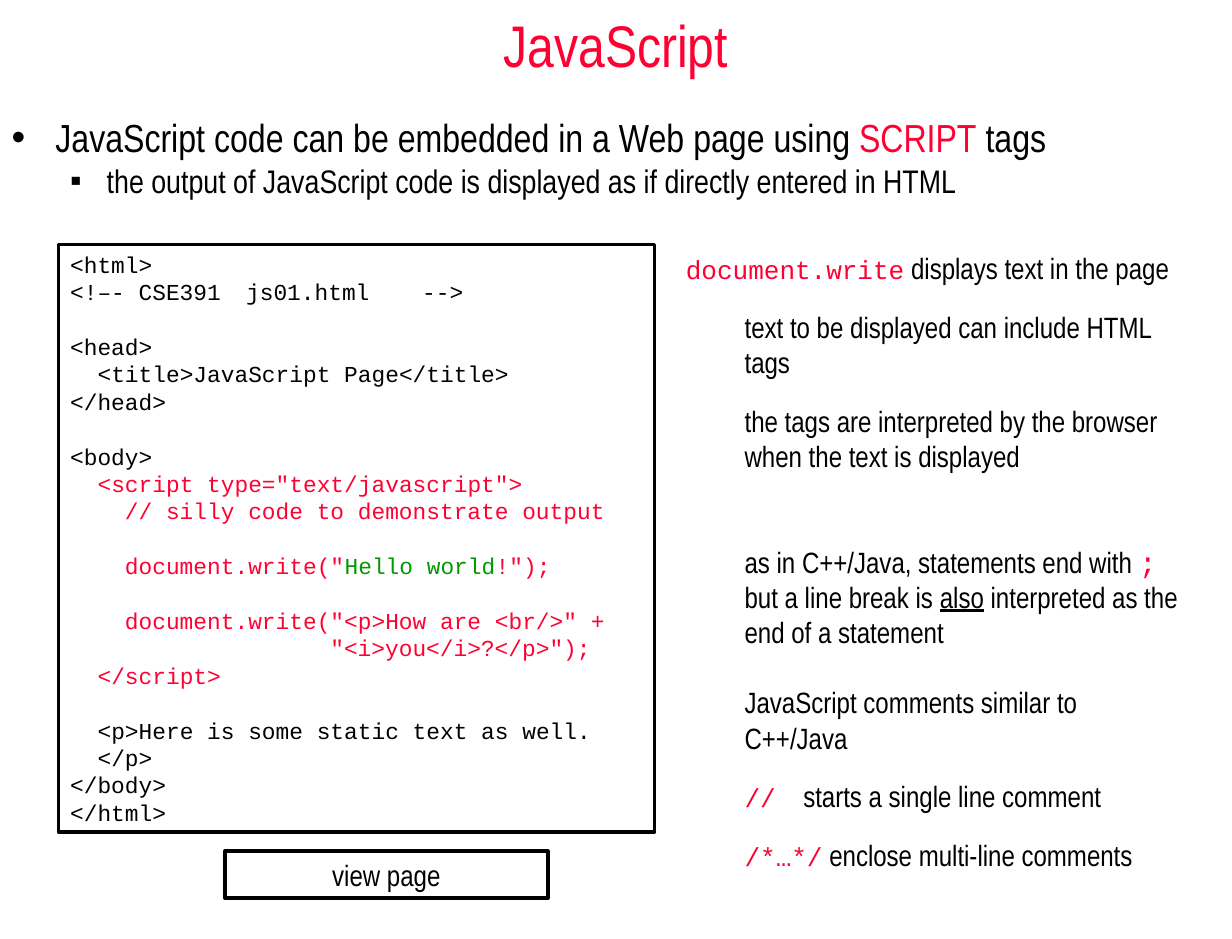
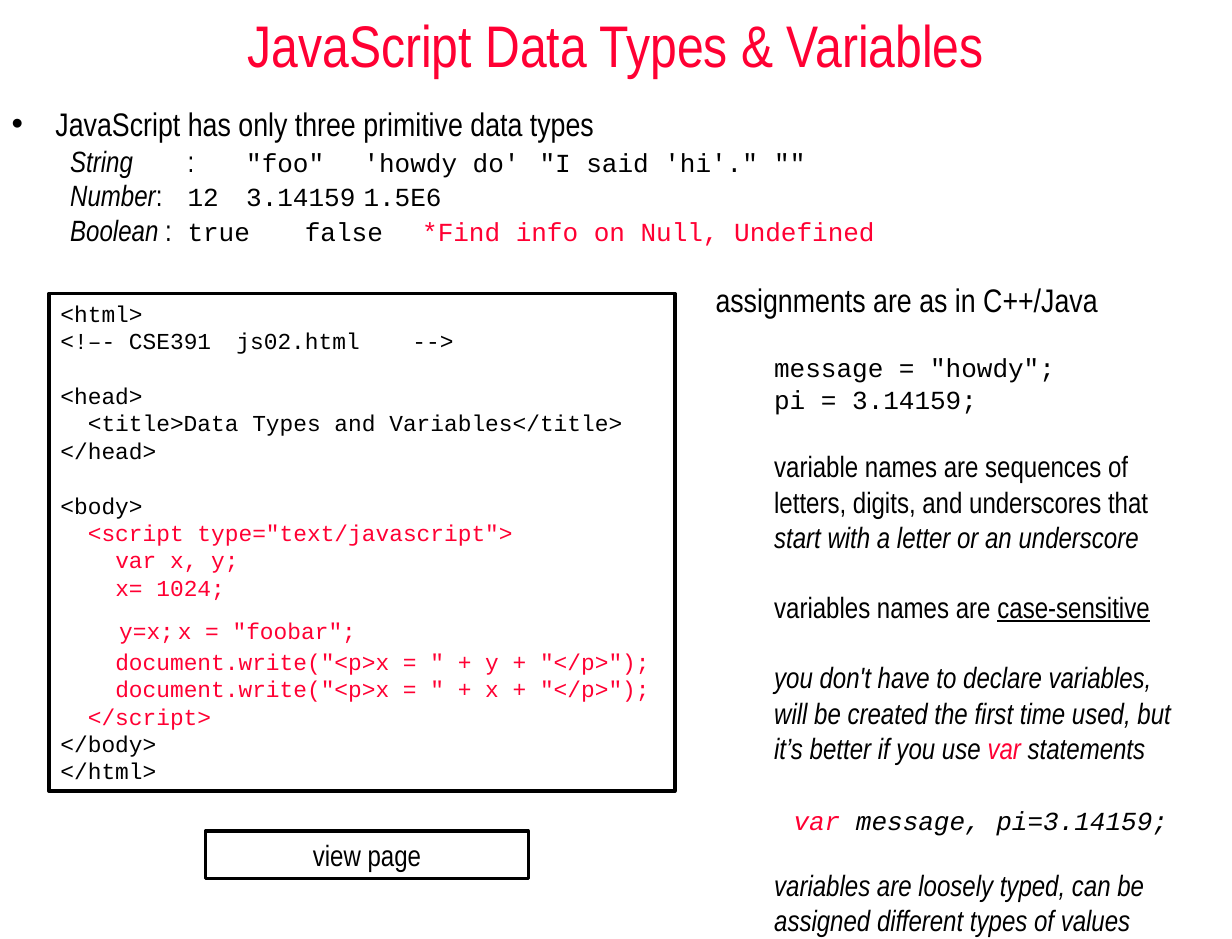
import pptx
import pptx.dml.color
import pptx.enum.shapes
import pptx.enum.text
import pptx.oxml.ns
import pptx.util
from lxml import etree
from pptx.util import Cm

ALIGN = pptx.enum.text.PP_ALIGN
ANCHOR = pptx.enum.text.MSO_ANCHOR

# Shared look
BLACK, RED_HEX, GREEN_HEX = "000000", "FF0033", "009900"
NARROW, COURIER = "Arial Narrow", "Courier New"
PAGE_WIDTH, PAGE_HEIGHT = 26.67, 20.32
MONO_LEADING = 1.2
CODE_SIZE = 14
CODE_LINE = CODE_SIZE * MONO_LEADING
CHAR_WIDTH = 0.2964  # one code character, in cm
STEP = 1.27          # indent of the notes, in cm

# Run styles
RED = {"color": RED_HEX}
MONO = {"font": COURIER, "size": 16}
KEYWORD = MONO | RED
ITALIC = {"italic": True}
UNDERLINE = {"underline": True}


def rgb(value):
    return pptx.dml.color.RGBColor.from_string(value)


def add_span(para, text, size, font=NARROW, color=BLACK, italic=False, underline=False):
    span = para.add_run()
    span.text = text
    span.font.size = pptx.util.Pt(size)
    span.font.name = font
    span.font.color.rgb = rgb(color)
    span.font.italic = italic
    span.font.underline = underline


def add_node(parent, tag, **attributes):
    return etree.SubElement(parent, pptx.oxml.ns.qn(tag), attributes)


def add_para(box, spans, size=18, before=0, leading=1.0, indent=0, hanging=0,
             bullet=None, stops=(), level=0, align=ALIGN.LEFT):
    """Add a paragraph; spans are strings or (string, style) pairs, leading is a factor or Pt."""
    frame = box.text_frame
    para = frame.paragraphs[0]
    if para.runs:
        para = frame.add_paragraph()
    para.alignment = align
    para.level = level
    para.line_spacing = leading
    para.space_before = pptx.util.Pt(before)
    para.space_after = pptx.util.Pt(0)
    properties = para._p.get_or_add_pPr()
    properties.set("marL", str(Cm(indent)))
    properties.set("indent", str(Cm(-hanging)))
    if bullet:
        add_node(add_node(properties, "a:buClr"), "a:srgbClr", val=BLACK)
        add_node(properties, "a:buFont", typeface="Arial")
        add_node(properties, "a:buChar", char=bullet)
    else:
        add_node(properties, "a:buNone")
    if stops:
        tabs = add_node(properties, "a:tabLst")
        for stop in stops:
            add_node(tabs, "a:tab", pos=str(Cm(stop)), algn="l")
    for item in spans:
        text, style = (item, {}) if isinstance(item, str) else item
        add_span(para, text, **({"size": size} | style))


def prepare(box, anchor=ANCHOR.TOP):
    frame = box.text_frame
    frame.word_wrap = True
    frame.auto_size = pptx.enum.text.MSO_AUTO_SIZE.NONE
    frame.vertical_anchor = anchor
    frame.margin_left = frame.margin_right = Cm(0.25)
    frame.margin_top = frame.margin_bottom = Cm(0.13)
    return box


def place(box, left, top, width, height):
    box.left, box.top, box.width, box.height = map(Cm, (left, top, width, height))


# Regions
def add_heading(page, text):
    title = prepare(page.shapes.title, ANCHOR.MIDDLE)
    place(title, 0, 0, PAGE_WIDTH, 1.9)
    add_para(title, [text, ], size=36, align=ALIGN.CENTER)
    title.text_frame.paragraphs[0].runs[0].font.color.rgb = rgb(RED_HEX)


def add_body(page, top, height, paras):
    body = prepare(page.placeholders[1])
    place(body, 0, top, PAGE_WIDTH, height)
    for spans, options in paras:
        add_para(body, spans, **options)


def add_frame(page, left, top, width, height):
    box = page.shapes.add_shape(pptx.enum.shapes.MSO_SHAPE.RECTANGLE,
                                *map(Cm, (left, top, width, height)))
    box.shadow.inherit = False
    box.fill.background()
    box.line.color.rgb = rgb(BLACK)
    box.line.width = pptx.util.Pt(2.25)
    return prepare(box)


def add_code(page, area, lines):
    """Lines are strings or (string, extra space before, tab stops in characters)."""
    box = add_frame(page, *area)
    gap, color = 0, BLACK
    for line in lines:
        text, extra, stops = (line, 0, ()) if isinstance(line, str) else line
        if not text:
            gap += CODE_LINE
            continue
        code = text.lstrip(" ")
        if code.startswith("<script"):
            color = RED_HEX
        style = {"font": COURIER, "color": color}
        start, greeting, rest = code.partition("Hello world")
        pieces = [(start, style), (greeting, style | {"color": GREEN_HEX}), (rest, style)]
        add_para(box, [piece for piece in pieces if piece[0]], size=CODE_SIZE,
                 before=gap + extra, leading=pptx.util.Pt(CODE_LINE),
                 indent=(len(text) - len(code)) * CHAR_WIDTH,
                 stops=[stop * CHAR_WIDTH for stop in stops])
        gap = 0
        if code.startswith("</script"):
            color = BLACK


def add_notes(page, area, paras):
    box = prepare(page.shapes.add_textbox(*map(Cm, area)))
    for spans, options in paras:
        add_para(box, spans, **({"indent": STEP} | options))


def add_button(page, left, top):
    box = add_frame(page, left, top, 6.99, 1.02)
    add_para(box, ["view page"], align=ALIGN.CENTER)


def html_head(file_name, title):
    return ["<html>", (f"<!–- CSE391\t{file_name}\t-->", 0, (13, 25)), "",
            "<head>", f"  <title>{title}</title>", "</head>", "",
            "<body>", '  <script type="text/javascript">']


HTML_END = ["</body>", "</html>"]
TOP_BULLET = {"indent": 0.95, "hanging": 0.95, "bullet": "•"}
MONO_LINE = {"leading": pptx.util.Pt(16 * MONO_LEADING)}


# Slides
def build_script_page(page):
    add_heading(page, "JavaScript")
    add_body(page, 2.33, 2.86, [
        (["JavaScript code can be embedded in a Web page using ", ("SCRIPT", RED), " tags"],
         TOP_BULLET | {"size": 24, "before": 6}),
        (["the output of JavaScript code is displayed as if directly entered in HTML"],
         {"size": 20, "before": 5, "leading": 0.8, "level": 1,
          "indent": 2.06, "hanging": 0.79, "bullet": "▪"}),
    ])
    add_code(page, (1.27, 5.29, 12.9, 12.72), html_head("js01.html", "JavaScript Page") + [
        "    // silly code to demonstrate output", "",
        '    document.write("Hello world!");', "",
        '    document.write("<p>How are <br/>" +',
        " " * 19 + '"<i>you</i>?</p>");',
        "  </script>", "",
        "  <p>Here is some static text as well.", "  </p>",
    ] + HTML_END)
    add_notes(page, (14.6, 5.29, 11.23, 12.95), [
        ([("document.write", KEYWORD), " displays text in the page"], {"indent": 0}),
        (["text to be displayed can include HTML tags"], {"before": 14.5}),
        (["the tags are interpreted by the browser when the text is displayed"],
         {"before": 14.5}),
        (["as in C++/Java, statements end with ", (";", KEYWORD | {"size": 18})],
         {"before": 43}),
        (["but a line break is ", ("also", UNDERLINE),
          " interpreted as the end of a statement"], {}),
        (["JavaScript comments similar to C++/Java"], {"before": 21.5}),
        ([("\t//", KEYWORD), "\tstarts a single line comment"],
         {"before": 14.5, "indent": 0, "stops": (STEP, 3.05)}),
        ([("/*…*/", KEYWORD), " enclose multi-line comments"], {"before": 14.5}),
    ])
    add_button(page, 4.87, 18.42)


def build_types_page(page):
    add_heading(page, "JavaScript Data Types & Variables")
    kind = {"before": 4, "leading": 0.8, "level": 1}
    add_body(page, 2.12, 3.6, [
        (["JavaScript has only three primitive data types"],
         TOP_BULLET | {"size": 20, "before": 5}),
        ([("\tString", ITALIC), "\t:",
          ("\t\"foo\"\t'howdy do'\t\"I said 'hi'.\"\t\"\"", MONO)],
         kind | {"stops": (STEP, 3.18, 3.58, 5.96, 10.7, 17.44)}),
        ([("\tNumber", ITALIC), ":", ("\t12\t3.14159\t1.5E6", MONO)],
         kind | {"stops": (STEP, 3.5, 5.88, 10.62)}),
        ([("\tBoolean ", ITALIC), ":", ("\ttrue\tfalse", MONO),
          ("\t*Find info on Null, Undefined", KEYWORD)],
         kind | {"stops": (STEP, 3.74, 6.11, 9.15)}),
    ])
    add_code(page, (1.06, 6.35, 13.55, 10.77),
             html_head("js02.html", "Data Types and Variables") + [
        "    var x, y;", "    x= 1024;",
        ('\ty=x;\tx = "foobar";', 9.6, (4, 9.4)),
        ('    document.write("<p>x = " + y + "</p>");', 2.2, ()),
        '    document.write("<p>x = " + x + "</p>");',
        "  </script>",
    ] + HTML_END)
    add_notes(page, (15.24, 5.93, 10.58, 14.48), [
        (["assignments are as in C++/Java"], {"size": 20, "indent": 0}),
        ([('message = "howdy";', MONO)], MONO_LINE | {"before": 20}),
        ([("pi = 3.14159;", MONO)], MONO_LINE),
        (["variable names are sequences of letters, digits, and underscores that ",
          ("start with a letter or an underscore", ITALIC)], {"before": 21}),
        (["variables names are ", ("case-sensitive", UNDERLINE)], {"before": 21.5}),
        ([("you don't have to declare variables, will be created the first time used, "
           "but it’s better if you use ", ITALIC),
          ("var", ITALIC | RED), (" statements", ITALIC)], {"before": 21.5}),
        ([("var", KEYWORD | ITALIC), (" message, pi=3.14159;", MONO | ITALIC)],
         MONO_LINE | {"before": 24, "indent": STEP + 0.42}),
        ([("variables are loosely typed, can be assigned different types of values",
           ITALIC)], {"before": 19.5}),
    ])
    add_button(page, 4.45, 17.99)


def main():
    deck = pptx.Presentation()
    deck.slide_width, deck.slide_height = Cm(PAGE_WIDTH), Cm(PAGE_HEIGHT)
    for build in (build_script_page, build_types_page):
        build(deck.slides.add_slide(deck.slide_layouts[1]))
    deck.save("out.pptx")


if __name__ == "__main__":
    main()
